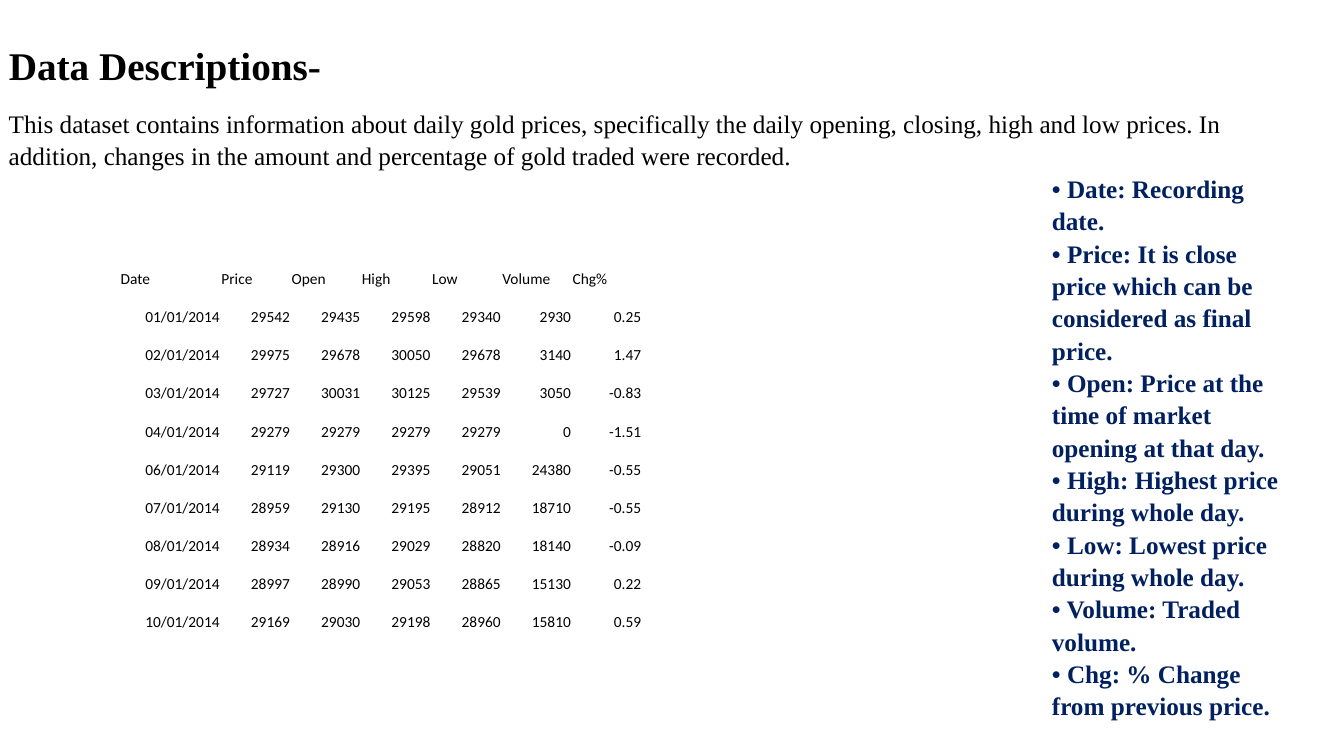
from pptx import Presentation
from pptx.dml.color import RGBColor
from pptx.enum.text import MSO_ANCHOR, MSO_AUTO_SIZE, PP_ALIGN
from pptx.util import Cm, Pt

BLACK = RGBColor(0x00, 0x00, 0x00)
NAVY = RGBColor(0x00, 0x20, 0x60)
SERIF = "Times New Roman"
SANS = "Calibri"
TITLE_ONLY = 5

INTRODUCTION = (
    "This dataset contains information about daily gold prices, specifically "
    "the daily opening, closing, high and low prices. In addition, changes in "
    "the amount and percentage of gold traded were recorded."
)

COLUMN_NOTES = [
    "• Date: Recording date.",
    "• Price: It is close price which can be considered as final price.",
    "• Open: Price at the time of market opening at that day.",
    "• High: Highest price during whole day.",
    "• Low: Lowest price during whole day.",
    "• Volume: Traded volume.",
    "• Chg: % Change from previous price.",
]

PRICES = [
    ("Date", "Price", "Open", "High", "Low", "Volume", "Chg%"),
    ("01/01/2014", "29542", "29435", "29598", "29340", "2930", "0.25"),
    ("02/01/2014", "29975", "29678", "30050", "29678", "3140", "1.47"),
    ("03/01/2014", "29727", "30031", "30125", "29539", "3050", "-0.83"),
    ("04/01/2014", "29279", "29279", "29279", "29279", "0", "-1.51"),
    ("06/01/2014", "29119", "29300", "29395", "29051", "24380", "-0.55"),
    ("07/01/2014", "28959", "29130", "29195", "28912", "18710", "-0.55"),
    ("08/01/2014", "28934", "28916", "29029", "28820", "18140", "-0.09"),
    ("09/01/2014", "28997", "28990", "29053", "28865", "15130", "0.22"),
    ("10/01/2014", "29169", "29030", "29198", "28960", "15810", "0.59"),
]
DATE_WIDTH = Cm(2.54)
VALUE_WIDTH = Cm(1.77)
ROW_HEIGHT = Cm(0.96)


def set_font(para, name, size, color, bold=False):
    font = para.font
    font.name = name
    font.size = Pt(size)
    font.bold = bold
    font.color.rgb = color


def set_title(page, text):
    title = page.shapes.title
    title.left, title.top = Cm(-0.03), Cm(0.91)
    title.width, title.height = Cm(33), Cm(1.5)
    frame = title.text_frame
    frame.text = text
    frame.auto_size = MSO_AUTO_SIZE.NONE
    frame.vertical_anchor = MSO_ANCHOR.TOP
    para = frame.paragraphs[0]
    para.alignment = PP_ALIGN.LEFT
    set_font(para, SERIF, 28, BLACK, bold=True)


def add_text(page, left, top, width, height, lines, color, bold=False):
    box = page.shapes.add_textbox(left, top, width, height)
    frame = box.text_frame
    frame.word_wrap = True
    frame.text = "\n".join(lines)
    for para in frame.paragraphs:
        para.line_spacing = 1.07
        set_font(para, SERIF, 18, color, bold)


def fill_cell(cell, text, alignment):
    cell.text = text
    cell.fill.background()
    cell.vertical_anchor = MSO_ANCHOR.BOTTOM
    cell.margin_left = cell.margin_right = cell.margin_top = Cm(0.02)
    cell.margin_bottom = 0
    para = cell.text_frame.paragraphs[0]
    para.alignment = alignment
    set_font(para, SANS, 11, BLACK)


def add_price_table(page, left, top):
    row_count, column_count = len(PRICES), len(PRICES[0])
    width = DATE_WIDTH + VALUE_WIDTH * (column_count - 1)
    frame = page.shapes.add_table(
        row_count, column_count, left, top, width, ROW_HEIGHT * row_count
    )
    table = frame.table
    table.first_row = False
    table.horz_banding = False
    for index, column in enumerate(table.columns):
        column.width = VALUE_WIDTH if index else DATE_WIDTH
    for row_index, values in enumerate(PRICES):
        table.rows[row_index].height = ROW_HEIGHT
        alignment = PP_ALIGN.RIGHT if row_index else PP_ALIGN.LEFT
        for column_index, value in enumerate(values):
            fill_cell(table.cell(row_index, column_index), value, alignment)


def main():
    deck = Presentation()
    deck.slide_width, deck.slide_height = Cm(33.87), Cm(19.05)
    page = deck.slides.add_slide(deck.slide_layouts[TITLE_ONLY])
    set_title(page, "Data Descriptions-")
    add_text(page, Cm(-0.03), Cm(2.54), Cm(33), Cm(2), [INTRODUCTION], BLACK)
    add_text(page, Cm(26.26), Cm(4.19), Cm(6.68), Cm(14.86),
             COLUMN_NOTES, NAVY, bold=True)
    add_price_table(page, Cm(3.02), Cm(6.32))
    deck.save("out.pptx")


if __name__ == "__main__":
    main()
